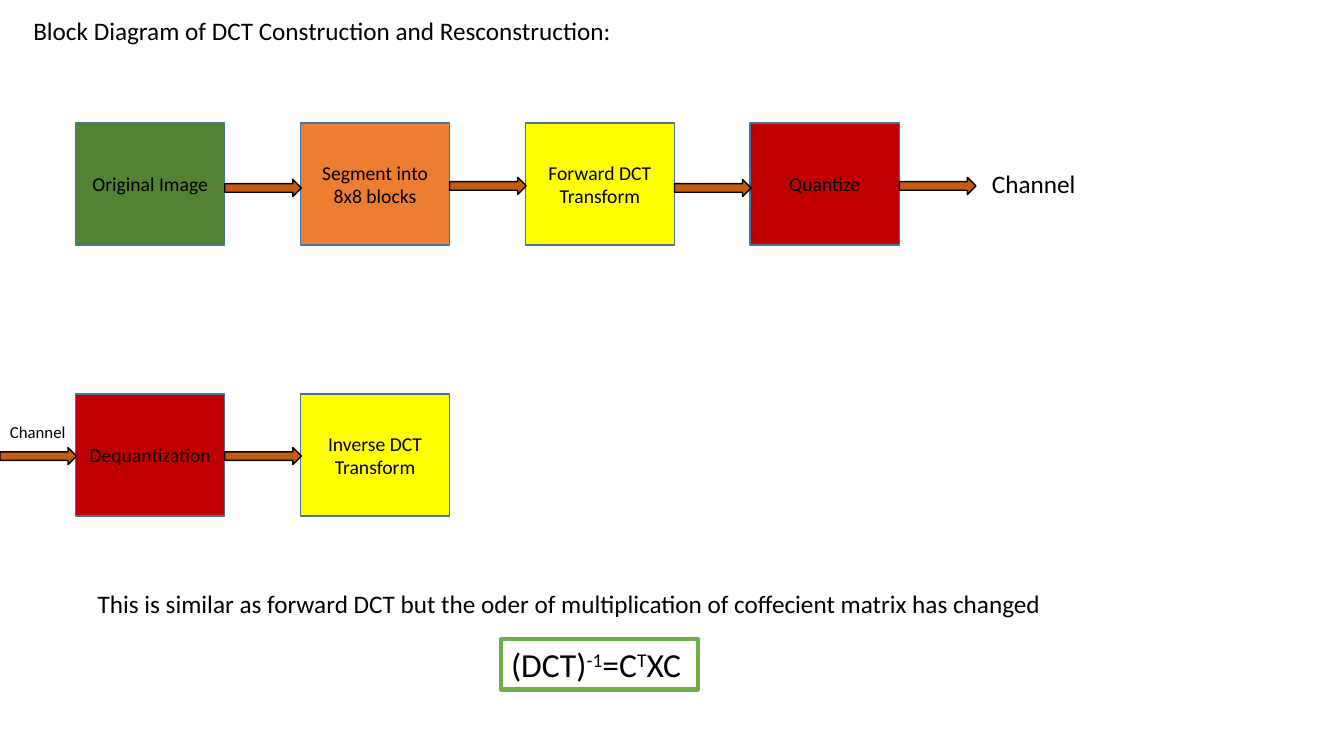
from pptx import Presentation, util as u
from pptx.dml.color import RGBColor
from pptx.enum import shapes, text

FONT, BLACK = "Calibri", "000000"
GREEN, ORANGE, YELLOW, RED = "548235", "ED7D31", "FFFF00", "C00000"

# Each grid column holds an arrow followed by a box
BOX_W, BOX_H = 1.48, 1.21
ARROW_W, ARROW_H = 0.76, 0.17
PITCH = 2.23
BOX_INSET = 0.75
FORWARD_TOP, INVERSE_TOP = 1.22, 3.91


def colour(hex_string):
    return RGBColor.from_string(hex_string)


def place(shape, left, top, width, height):
    shape.left, shape.top = u.Inches(left), u.Inches(top)
    shape.width, shape.height = u.Inches(width), u.Inches(height)


def style_para(para, size, align=text.PP_ALIGN.LEFT):
    para.alignment = align
    para.font.size = u.Pt(size)
    para.font.name = FONT
    para.font.bold = False
    para.font.color.rgb = colour(BLACK)


def write(shape, words, size):
    frame = shape.text_frame
    frame.word_wrap = True
    frame.vertical_anchor = text.MSO_ANCHOR.TOP
    frame.auto_size = text.MSO_AUTO_SIZE.NONE
    frame.text = words
    style_para(frame.paragraphs[0], size)


def add_label(page, words, size, left, top, width, height):
    box = page.shapes.add_textbox(0, 0, 0, 0)
    place(box, left, top, width, height)
    write(box, words, size)


def add_figure(page, kind, fill, line, line_width, left, top, width, height):
    figure = page.shapes.add_shape(kind, 0, 0, 0, 0)
    place(figure, left, top, width, height)
    figure.shadow.inherit = False
    figure.fill.solid()
    figure.fill.fore_color.rgb = colour(fill)
    figure.line.color.rgb = colour(line)
    figure.line.width = u.Pt(line_width)
    return figure


def add_stage(page, words, fill, column, top):
    box = add_figure(page, shapes.MSO_SHAPE.RECTANGLE, fill, "43739E", 1,
                     column * PITCH + BOX_INSET, top, BOX_W, BOX_H)
    frame = box.text_frame
    frame.word_wrap = True
    frame.vertical_anchor = text.MSO_ANCHOR.MIDDLE
    frame.text = words
    style_para(frame.paragraphs[0], 14, text.PP_ALIGN.CENTER)


def add_arrow(page, column, top):
    add_figure(page, shapes.MSO_SHAPE.RIGHT_ARROW, "C55A11", BLACK, 1,
               column * PITCH, top, ARROW_W, ARROW_H)


def add_formula(page, parts, left, top, width, height):
    box = add_figure(page, shapes.MSO_SHAPE.RECTANGLE, "FFFFFF", "70AD47", 3,
                     left, top, width, height)
    box.text_frame.vertical_anchor = text.MSO_ANCHOR.TOP
    box.text_frame.word_wrap = True
    para = box.text_frame.paragraphs[0]
    style_para(para, 24)
    for words, raised in parts:
        span = para.add_run()
        span.text = words
        if raised:
            span._r.get_or_add_rPr().set("baseline", "30000")


def main():
    deck = Presentation()
    deck.slide_width, deck.slide_height = u.Inches(13.33), u.Inches(7.5)
    page = deck.slides.add_slide(deck.slide_layouts[5])

    # Title
    title = page.shapes.title
    place(title, 0.23, 0.1, 6.45, 0.4)
    write(title, "Block Diagram of DCT Construction and Resconstruction:", 18)

    # Stages of both directions
    forward = [("Original Image", GREEN), ("Segment into 8x8 blocks", ORANGE),
               ("Forward DCT Transform", YELLOW), ("Quantize", RED)]
    inverse = [("Dequantization", RED), ("Inverse DCT Transform", YELLOW)]
    for stages, top in ((forward, FORWARD_TOP), (inverse, INVERSE_TOP)):
        for column, (words, fill) in enumerate(stages):
            add_stage(page, words, fill, column, top)

    # Arrows: forward ones alternate slightly in height
    for column in range(1, 5):
        add_arrow(page, column, 1.78 if column % 2 else 1.76)
    for column in range(2):
        add_arrow(page, column, 4.44)

    # Channel ends
    add_label(page, "Channel", 18, 9.74, 1.62, 1.3, 0.4)
    add_label(page, "Channel", 12, 0, 4.13, 1.33, 0.3)

    # Closing remark and formula
    add_label(page, "This is similar as forward DCT but the oder of multiplication "
              "of coffecient matrix has changed", 18, 0.87, 5.79, 10.83, 0.4)
    add_formula(page, [("(DCT)", False), ("-1", True), ("=C", False),
                       ("T", True), ("XC", False)], 4.97, 6.34, 1.95, 0.5)

    deck.save("out.pptx")


if __name__ == "__main__":
    main()
